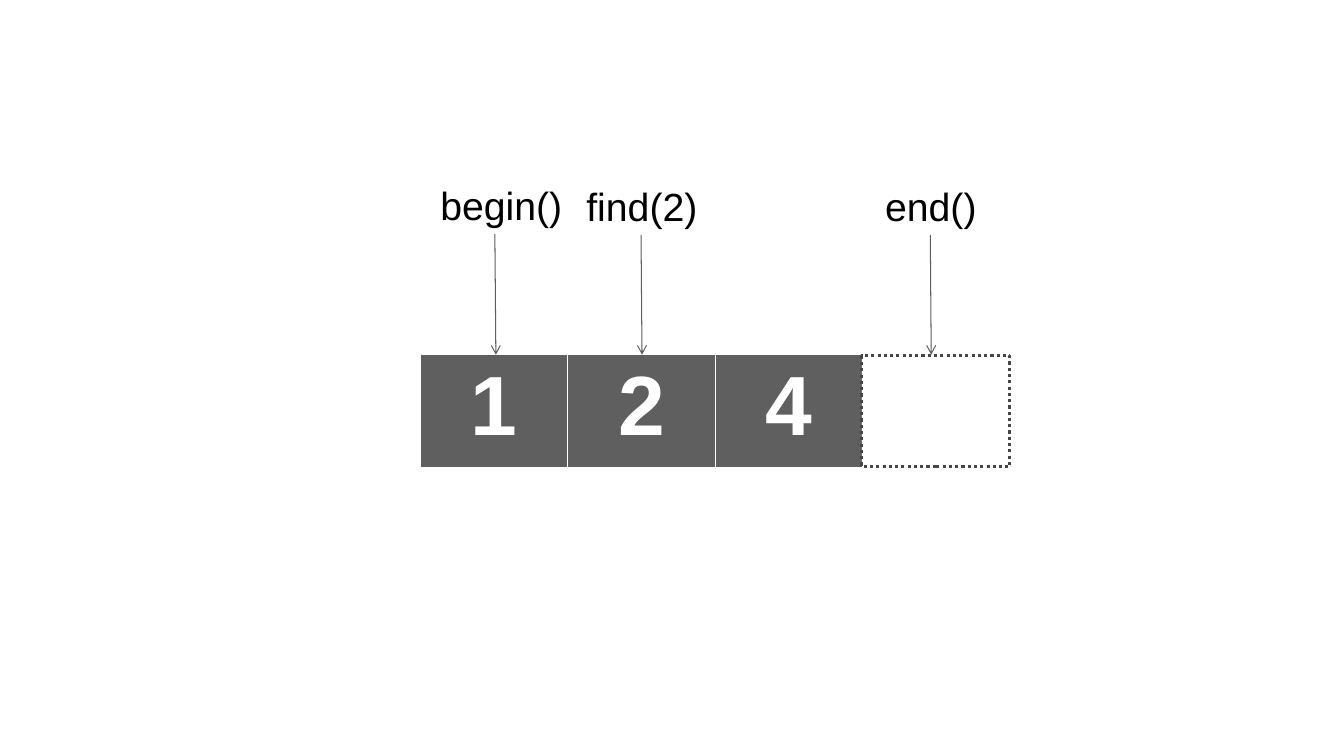
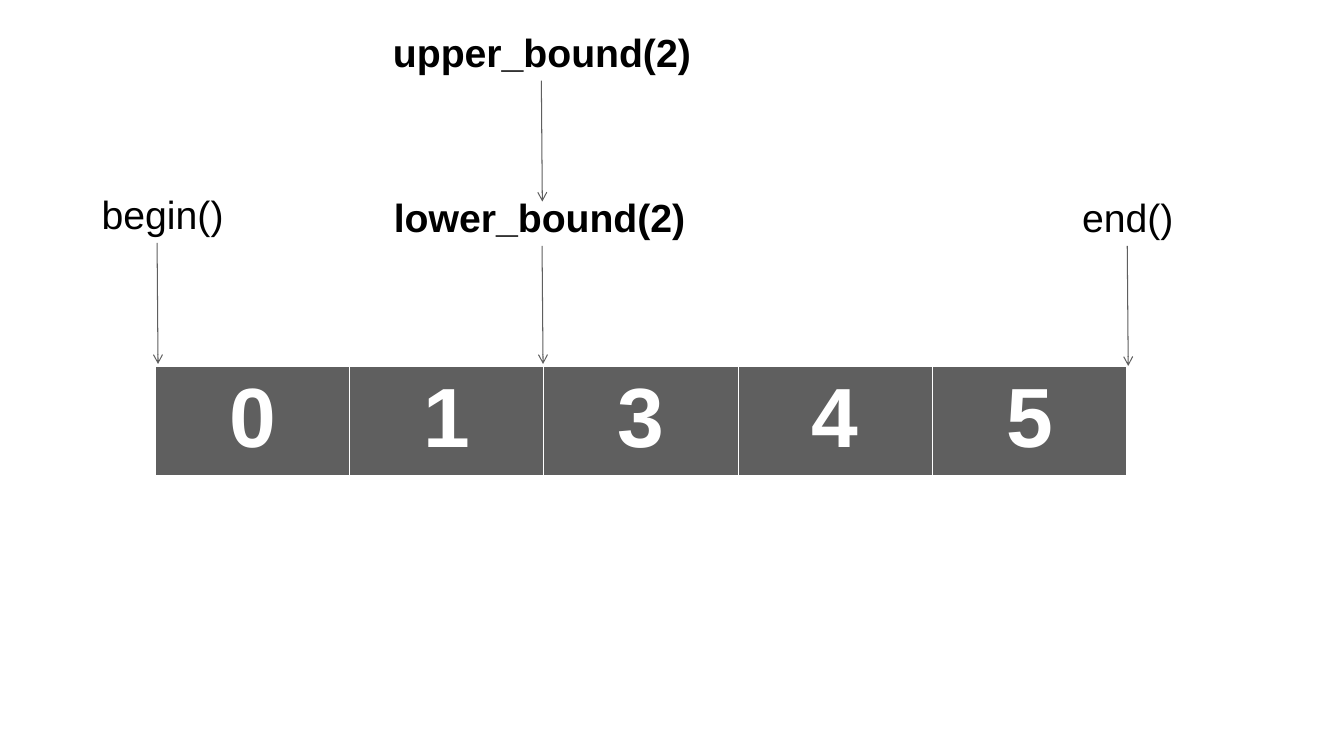
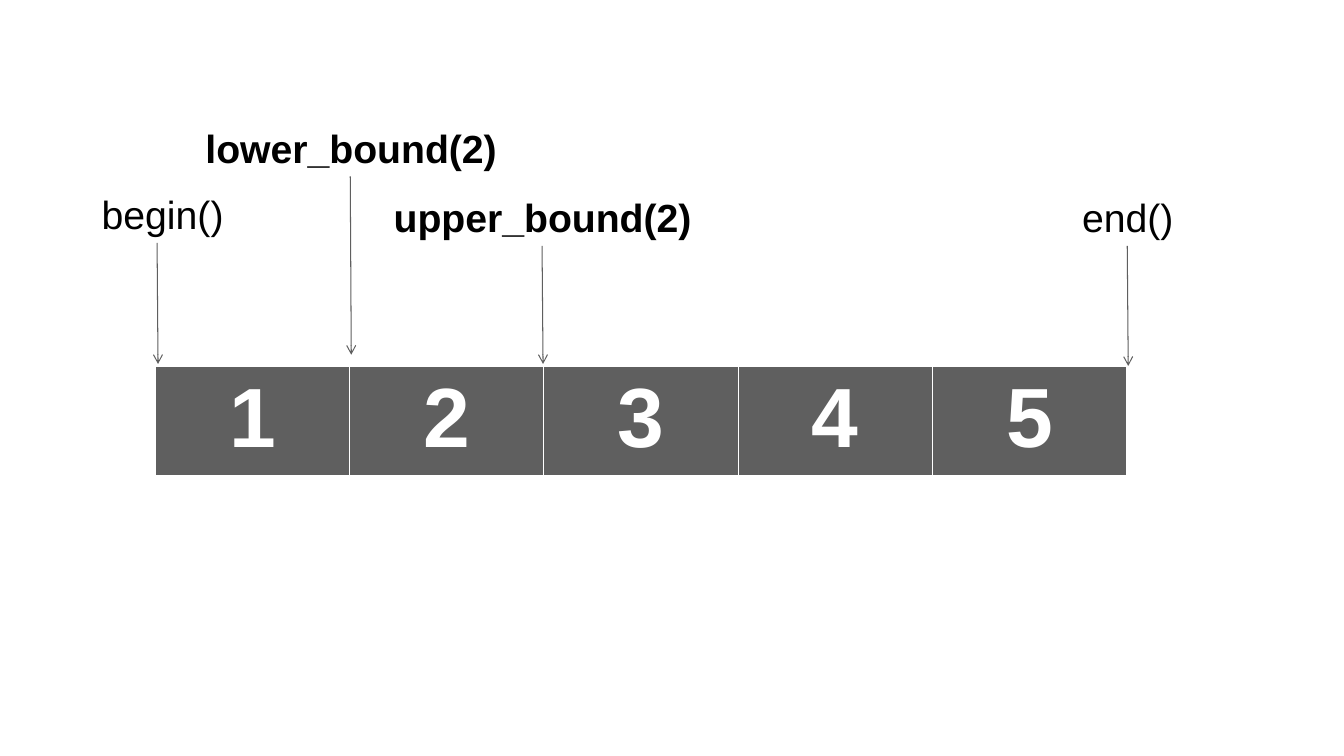
from dataclasses import dataclass

from lxml.etree import SubElement
from pptx import Presentation
from pptx.dml.color import RGBColor
from pptx.enum.dml import MSO_LINE
from pptx.enum.shapes import MSO_CONNECTOR, MSO_SHAPE
from pptx.enum.text import MSO_AUTO_SIZE, PP_ALIGN
from pptx.oxml.ns import qn
from pptx.util import Pt

COLORS = {"cell": "5F5F5F", "arrow": "5F5F5F", "dots": "464646",
          "paper": "FFFFFF", "label": "000000"}
FONT = "Arial"
LABEL_H = 41
LABEL_W = {"begin()": 101.5, "end()": 80, "find(2)": 93.6,
           "lower_bound(2)": 222.5, "upper_bound(2)": 227.5}
BORDERS = {"a:lnL": 1, "a:lnR": 1, "a:lnT": 1, "a:lnB": 3}


@dataclass
class Box:
    x: float
    y: float
    w: float
    h: float


@dataclass
class Pointer:
    """A label and its arrow; tip, rise and gap are measured from the row's top left."""
    text: str
    tip: float
    rise: float
    gap: float = 0
    shift: float = 0
    bold: bool = False


def rgb(name):
    return RGBColor.from_string(COLORS[name])


def add_run(p, text, size, color, bold):
    r = p.add_run()
    r.text = text
    r.font.name = FONT
    r.font.size = Pt(size)
    r.font.bold = bold
    r.font.color.rgb = rgb(color)


def add_borders(cell):
    tc_pr = cell._tc.get_or_add_tcPr()
    for tag, width in BORDERS.items():
        ln = SubElement(tc_pr, qn(tag), w=str(Pt(width)))
        fill = SubElement(ln, qn("a:solidFill"))
        SubElement(fill, qn("a:srgbClr"), val=COLORS["paper"])


def add_row(s, box, values):
    table = s.shapes.add_table(1, len(values), Pt(box.x), Pt(box.y),
                               Pt(box.w), Pt(box.h)).table
    table.first_row = table.horz_banding = False
    for i, value in enumerate(values):
        table.columns[i].width = Pt(box.w / len(values))
        cell = table.cell(0, i)
        add_borders(cell)
        cell.fill.solid()
        cell.fill.fore_color.rgb = rgb("cell")
        p = cell.text_frame.paragraphs[0]
        p.alignment = PP_ALIGN.CENTER
        add_run(p, value, 60, "paper", True)


def add_arrow(s, x1, y1, x2, y2):
    line = s.shapes.add_connector(MSO_CONNECTOR.STRAIGHT, Pt(x1), Pt(y1), Pt(x2), Pt(y2))
    line.line.color.rgb = rgb("arrow")
    line.line.width = Pt(0.75)
    SubElement(line.line._get_or_add_ln(), qn("a:tailEnd"), type="arrow")
    SubElement(line._element.spPr, qn("a:effectLst"))


def add_pointer(s, box, ptr):
    tip, top = box.x + ptr.tip, box.y - ptr.rise
    width = LABEL_W[ptr.text]
    add_arrow(s, tip - 0.7, top + LABEL_H, tip, box.y - ptr.gap)
    sp = s.shapes.add_textbox(Pt(tip - width / 2 + ptr.shift), Pt(top),
                              Pt(width), Pt(LABEL_H))
    tf = sp.text_frame
    tf.word_wrap = False
    tf.auto_size = MSO_AUTO_SIZE.SHAPE_TO_FIT_TEXT
    add_run(tf.paragraphs[0], ptr.text, 28, "label", ptr.bold)


def add_end_slot(s, box):
    """Draw the dotted, empty slot just past the last value."""
    sp = s.shapes.add_shape(MSO_SHAPE.RECTANGLE, Pt(box.x), Pt(box.y), Pt(box.w), Pt(box.h))
    sp.shadow.inherit = False
    sp.fill.solid()
    sp.fill.fore_color.rgb = rgb("paper")
    sp.line.color.rgb = rgb("dots")
    sp.line.width = Pt(2.25)
    sp.line.dash_style = MSO_LINE.ROUND_DOT


def add_sequence_slide(prs, box, values, pointers):
    s = prs.slides.add_slide(prs.slide_layouts[6])
    add_row(s, box, values)
    for ptr in pointers:
        add_pointer(s, box, ptr)
    return s


def main():
    prs = Presentation()
    prs.slide_width, prs.slide_height = Pt(960), Pt(540)

    short = Box(300.2, 253.4, 316.2, 81.4)
    s = add_sequence_slide(prs, short, "124", [
        Pointer("find(2)", 158.4, 126.7),
        Pointer("begin()", 54, 127.4, shift=4),
        Pointer("end()", 365, 126.7),
    ])
    add_end_slot(s, Box(short.x + short.w - 0.8, short.y + 0.8, 105.8, 79.2))

    long = Box(110.9, 261.4, 694, 79.2)
    ends = [Pointer("begin()", 2, 128.9, 1.4, shift=3.4), Pointer("end()", 695, 126.8)]
    add_sequence_slide(prs, long, "01345", [
        Pointer("upper_bound(2)", 276.5, 244.8, 117.4, bold=True),
        *ends,
        Pointer("lower_bound(2)", 277, 126.8, 1.4, shift=-2.4, bold=True),
    ])
    add_sequence_slide(prs, long, "12345", [
        Pointer("lower_bound(2)", 140, 176.4, 8, bold=True),
        *ends,
        Pointer("upper_bound(2)", 277, 126.8, 1.4, bold=True),
    ])
    prs.save("out.pptx")


if __name__ == "__main__":
    main()
